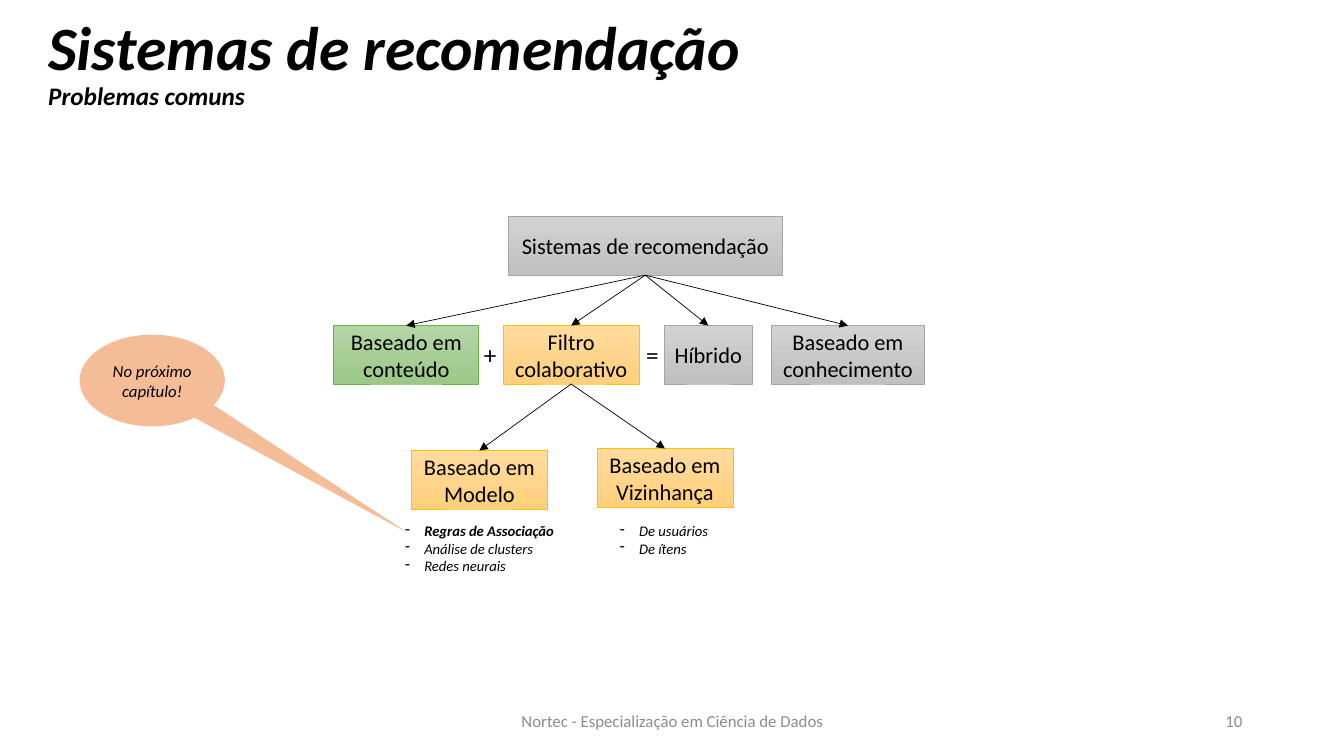
from dataclasses import dataclass

from lxml import etree
from pptx import Presentation
from pptx.dml.color import RGBColor
from pptx.enum.shapes import MSO_CONNECTOR, MSO_SHAPE
from pptx.enum.text import MSO_ANCHOR, PP_ALIGN
from pptx.oxml.ns import qn
from pptx.util import Inches, Pt

LEFT, CENTER, RIGHT = PP_ALIGN.LEFT, PP_ALIGN.CENTER, PP_ALIGN.RIGHT
TOP, MIDDLE = MSO_ANCHOR.TOP, MSO_ANCHOR.MIDDLE
RECT, BUBBLE = MSO_SHAPE.RECTANGLE, MSO_SHAPE.OVAL_CALLOUT
STRAIGHT = MSO_CONNECTOR.STRAIGHT
TOP_SITE, BOTTOM_SITE = 0, 2


@dataclass(frozen=True)
class Theme:
    font: str = "Calibri"
    ink: str = "000000"
    muted: str = "8C8C8C"
    note: str = "ED7D31"
    # Each node style: gradient top, gradient bottom, outline
    gray: tuple = ("D2D2D2", "C0C0C0", "A5A5A5")
    green: tuple = ("B5D5A7", "9CC987", "70AD47")
    gold: tuple = ("FFDB9E", "FFD07C", "FFC000")
    title: float = 44
    sub: float = 18
    sign: float = 18
    node: float = 16
    small: float = 12
    item: float = 10.5
    rule: float = 0.5


THEME = Theme()
NODE_H = 0.58
ROW_Y = 3.23


def rgb(code):
    return RGBColor.from_string(code)


def place(box):
    return [Inches(v) for v in box]


def write(shape, lines, size, color=THEME.ink, align=LEFT, anchor=TOP,
          bold=False, italic=False):
    frame = shape.text_frame
    frame.word_wrap = True
    frame.vertical_anchor = anchor
    frame.text = "\n".join(lines)
    for para in frame.paragraphs:
        para.alignment = align
        for run in para.runs:
            font = run.font
            font.name, font.size = THEME.font, Pt(size)
            font.bold, font.italic = bold, italic
            font.color.rgb = rgb(color)
    return frame


def add_text(slide, box, lines, size, **style):
    return write(slide.shapes.add_textbox(*place(box)), lines, size, **style)


def add_head(slide, box, title, sub):
    frame = add_text(slide, box, [title, sub], THEME.title,
                     anchor=MIDDLE, bold=True, italic=True)
    for para in frame.paragraphs:
        para.line_spacing = 0.9
    frame.paragraphs[1].runs[0].font.size = Pt(THEME.sub)


def add_foot(slide, box, label, number):
    """Centre the label in the box and set the number at its right end."""
    x, y, w, h = box
    style = dict(color=THEME.muted, anchor=MIDDLE)
    add_text(slide, (x + w / 2 - 2.25, y, 4.5, h), [label], THEME.small,
             align=CENTER, **style)
    add_text(slide, (x + w - 3, y, 3, h), [number], THEME.small,
             align=RIGHT, **style)


def add_node(slide, x, y, w, label, look):
    node = slide.shapes.add_shape(RECT, *place((x, y, w, NODE_H)))
    node.shadow.inherit = False
    light, dark, edge = look
    node.fill.gradient()
    node.fill.gradient_angle = 270
    for stop, code, spot in zip(node.fill.gradient_stops, (light, dark), (0, 1)):
        stop.color.rgb = rgb(code)
        stop.position = spot
    node.line.color.rgb = rgb(edge)
    node.line.width = Pt(THEME.rule)
    write(node, [label], THEME.node, align=CENTER, anchor=MIDDLE)
    return node


def add_arrows(slide, parent, kids):
    for kid in kids:
        arrow = slide.shapes.add_connector(STRAIGHT, 0, 0, 0, 0)
        arrow.begin_connect(parent, BOTTOM_SITE)
        arrow.end_connect(kid, TOP_SITE)
        arrow.line.color.rgb = rgb(THEME.ink)
        arrow.line.width = Pt(THEME.rule)
        etree.SubElement(arrow.line._get_or_add_ln(), qn("a:tailEnd"),
                         type="triangle")
        etree.SubElement(arrow._element.spPr, qn("a:effectLst"))


def add_list(slide, box, items):
    frame = add_text(slide, box, items, THEME.item, italic=True)
    frame.word_wrap = False
    indent = Inches(0.19)
    for para in frame.paragraphs:
        props = para._p.get_or_add_pPr()
        props.set("marL", str(indent))
        props.set("indent", str(-indent))
        etree.SubElement(props, qn("a:buChar"), char="-")
    return frame


def add_tree(slide, x, y):
    """Draw the tree, with x, y at the left end of its middle row."""
    root = add_node(slide, x + 1.73, y - 1.08, 2.72,
                    "Sistemas de recomendação", THEME.gray)
    row = [
        (0, 1.44, "Baseado em conteúdo", THEME.green),
        (1.68, 1.35, "Filtro colaborativo", THEME.gold),
        (3.28, 0.87, "Híbrido", THEME.gray),
        (4.34, 1.52, "Baseado em conhecimento", THEME.gray),
    ]
    kinds = [add_node(slide, x + dx, y, w, label, look)
             for dx, w, label, look in row]
    for dx, sign in ((1.39, "+"), (3, "=")):
        add_text(slide, (x + dx, y + 0.09, 0.35, 0.4), [sign], THEME.sign)
    leaves = [add_node(slide, x + dx, y + dy, 1.35, label, THEME.gold)
              for dx, dy, label in ((0.77, 1.24, "Baseado em Modelo"),
                                    (2.61, 1.22, "Baseado em Vizinhança"))]
    add_arrows(slide, root, kinds)
    add_arrows(slide, kinds[1], leaves)
    models = add_list(slide, (x + 0.61, y + 1.9, 1.7, 0.63),
                      ["Regras de Associação", "Análise de clusters",
                       "Redes neurais"])
    models.paragraphs[0].runs[0].font.bold = True
    add_list(slide, (x + 2.74, y + 1.9, 1.09, 0.45),
             ["De usuários", "De ítens"])


def add_note(slide, box, label, tip):
    """Draw a speech bubble whose tail ends at the point tip."""
    x, y, w, h = box
    note = slide.shapes.add_shape(BUBBLE, *place(box))
    note.shadow.inherit = False
    note.adjustments[0] = (tip[0] - x) / w - 0.5
    note.adjustments[1] = (tip[1] - y) / h - 0.5
    note.fill.solid()
    note.fill.fore_color.rgb = rgb(THEME.note)
    tint = note._element.spPr.find(qn("a:solidFill")).find(qn("a:srgbClr"))
    etree.SubElement(tint, qn("a:alpha"), val="50000")
    note.line.fill.background()
    write(note, [label], THEME.small, align=CENTER, anchor=MIDDLE, italic=True)


def main():
    deck = Presentation()
    deck.slide_width, deck.slide_height = Inches(13.33), Inches(7.5)
    slide = deck.slides.add_slide(deck.slide_layouts[6])
    add_foot(slide, (0.92, 6.95, 11.5, 0.4),
             "Nortec - Especialização em Ciência de Dados", "10")
    add_head(slide, (0.38, -0.09, 11.5, 1.45),
             "Sistemas de recomendação", "Problemas comuns")
    add_tree(slide, 3.31, ROW_Y)
    add_note(slide, (0.79, 3.32, 1.44, 0.91), "No próximo capítulo!",
             (4.05, 5.29))
    deck.save("out.pptx")


if __name__ == "__main__":
    main()
